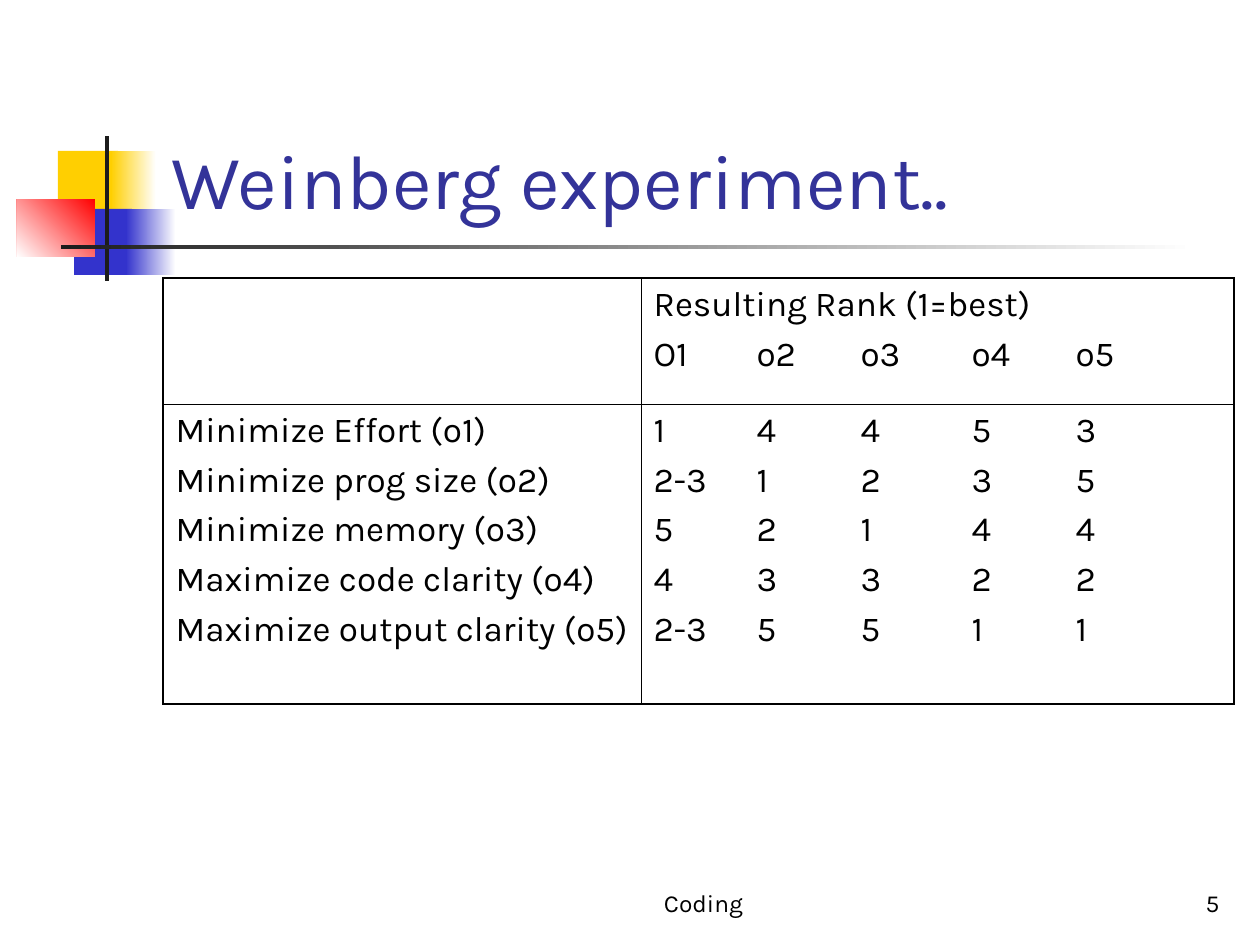
from lxml import etree
from pptx import Presentation
from pptx import util as u
from pptx.dml.color import RGBColor
from pptx.enum import shapes, text
from pptx.oxml import ns

COLORS = {
    "ink": "000000", "title": "333399", "white": "FFFFFF", "yellow": "FFCF01",
    "blue": "3333CC", "red": "FF0000", "rule": "1C1C1C",
}
OUTER, INNER = 1.08, 0.45
RANK_STOPS = (103, 207, 318, 422)
OBJECTIVES = [
    ("Minimize Effort (o1)", ("1", "4", "4", "5", "3")),
    ("Minimize prog size (o2)", ("2-3", "1", "2", "3", "5")),
    ("Minimize memory (o3)", ("5", "2", "1", "4", "4")),
    ("Maximize code clarity (o4)", ("4", "3", "3", "2", "2")),
    ("Maximize output clarity (o5)", ("2-3", "5", "5", "1", "1")),
]


def px(length):
    return u.Emu(round(length * 914400 / 126))


def rgb(name):
    return RGBColor.from_string(COLORS[name])


class SlideBuilder:
    font = "Karla"

    def __init__(self, slide):
        self.slide = slide

    def block(self, box, start, end=None, angle=180):
        block = self.slide.shapes.add_shape(
            shapes.MSO_SHAPE.RECTANGLE, *map(px, box))
        block.shadow.inherit = False
        block.line.fill.background()
        if end is None:
            block.fill.solid()
            block.fill.fore_color.rgb = rgb(start)
            return
        block.fill.gradient()
        block.fill.gradient_angle = angle
        for stop, color, position in zip(block.fill.gradient_stops, (start, end), (0, 1)):
            stop.color.rgb = rgb(color)
            stop.position = position

    def add_wording(self, paragraph, wording, size, color="ink"):
        run = paragraph.add_run()
        run.text = wording
        run.font.size = u.Pt(size)
        run.font.name = self.font
        run.font.color.rgb = rgb(color)

    def label(self, box, wording, size, align, color="ink"):
        frame = self.slide.shapes.add_textbox(*map(px, box)).text_frame
        frame.word_wrap = True
        frame.vertical_anchor = text.MSO_ANCHOR.BOTTOM
        frame.paragraphs[0].alignment = align
        self.add_wording(frame.paragraphs[0], wording, size, color)

    def cell_lines(self, cell, lines):
        frame = cell.text_frame
        for index, line in enumerate(lines):
            paragraph = frame.add_paragraph() if index else frame.paragraphs[0]
            paragraph.space_before = u.Pt(5)
            if "\t" in line:
                properties = paragraph._p.get_or_add_pPr()
                stops = etree.SubElement(properties, ns.qn("a:tabLst"))
                for stop in RANK_STOPS:
                    etree.SubElement(stops, ns.qn("a:tab"), pos=str(px(stop)), algn="l")
            self.add_wording(paragraph, line, 20)

    def cell_borders(self, cell, widths):
        properties = cell._tc.get_or_add_tcPr()
        for side, width in zip("LRTB", widths):
            border = etree.SubElement(
                properties, ns.qn(f"a:ln{side}"), w=str(u.Pt(width)))
            fill = etree.SubElement(border, ns.qn("a:solidFill"))
            etree.SubElement(fill, ns.qn("a:srgbClr"), val=COLORS["ink"])

    def table(self, left, top, widths, heights, contents):
        table = self.slide.shapes.add_table(
            len(heights), len(widths), px(left), px(top),
            px(sum(widths)), px(sum(heights))).table
        table.first_row = table.horz_banding = False
        for column, width in zip(table.columns, widths):
            column.width = px(width)
        for row, height in zip(table.rows, heights):
            row.height = px(height)
        last_row, last_column = len(heights) - 1, len(widths) - 1
        for r, row in enumerate(contents):
            for c, lines in enumerate(row):
                cell = table.cell(r, c)
                edges = (c == 0, c == last_column, r == 0, r == last_row)
                self.cell_borders(cell, [OUTER if edge else INNER for edge in edges])
                cell.fill.background()
                self.cell_lines(cell, lines)


def main():
    deck = Presentation()
    deck.slide_width, deck.slide_height = px(1260), px(945)
    builder = SlideBuilder(deck.slides.add_slide(deck.slide_layouts[6]))

    builder.block((58, 151, 60, 66), "yellow")
    builder.block((111, 151, 45, 66), "white", "yellow")
    builder.block((74, 209, 58, 66), "blue")
    builder.block((126, 209, 50, 66), "white", "blue")
    builder.block((17, 199, 78, 58), "red", "white", angle=225)
    builder.block((105, 136, 4, 145), "rule")
    builder.block((61, 245, 1134, 4), "white", "rule")

    align = text.PP_ALIGN
    builder.label((504, 861, 399, 63), "Coding", 14, align.CENTER)
    builder.label((970, 861, 262, 63), "5", 14, align.RIGHT)
    builder.label((159, 29, 1074, 202), "Weinberg experiment..", 44, align.LEFT, "title")

    heading = ["Resulting Rank (1=best)", "\t".join(("O1", "o2", "o3", "o4", "o5"))]
    goals = [goal for goal, ranks in OBJECTIVES]
    rankings = ["\t".join(ranks) for goal, ranks in OBJECTIVES]
    builder.table(163, 278, (478, 593), (126, 300), [([], heading), (goals, rankings)])

    deck.save("out.pptx")


if __name__ == "__main__":
    main()
